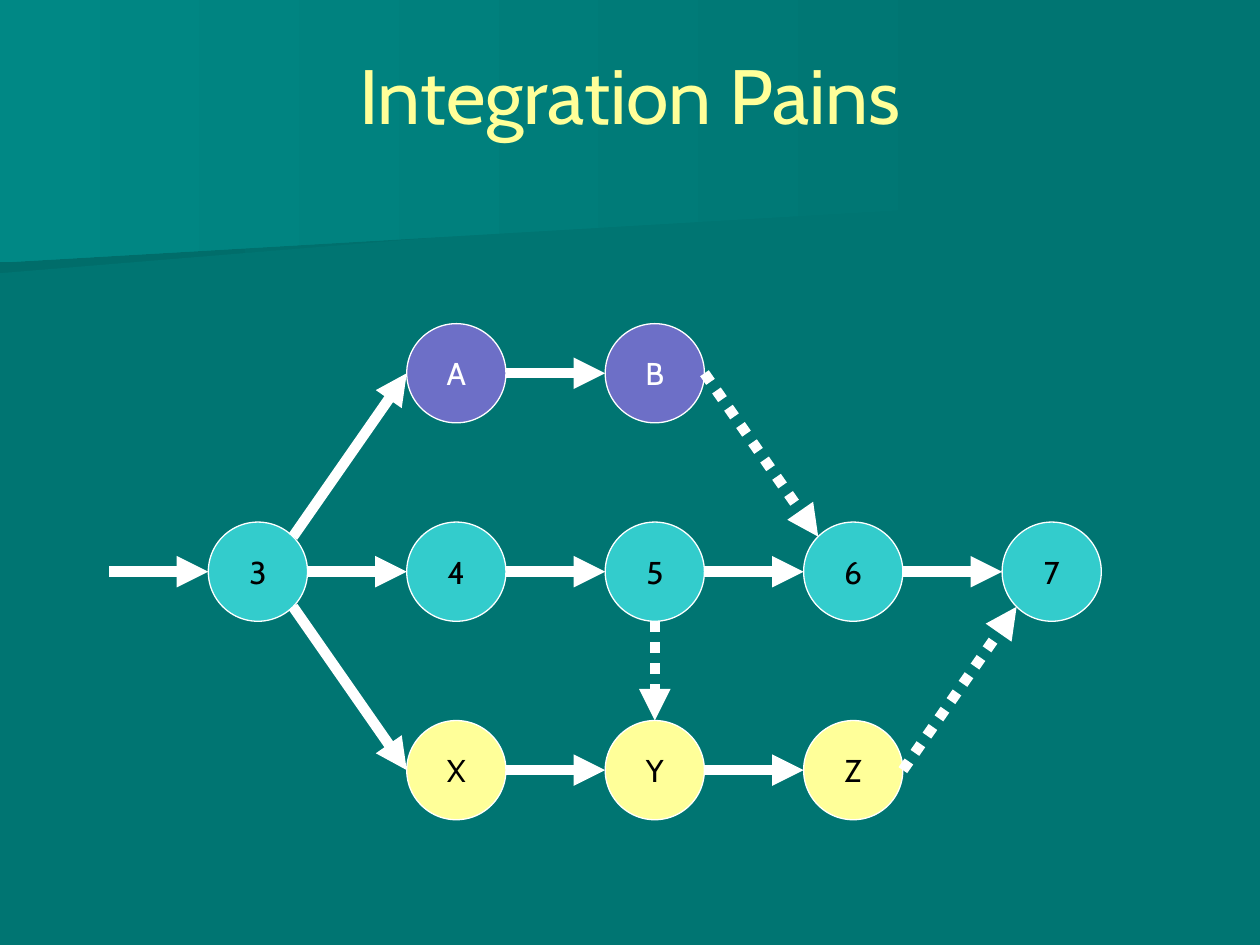
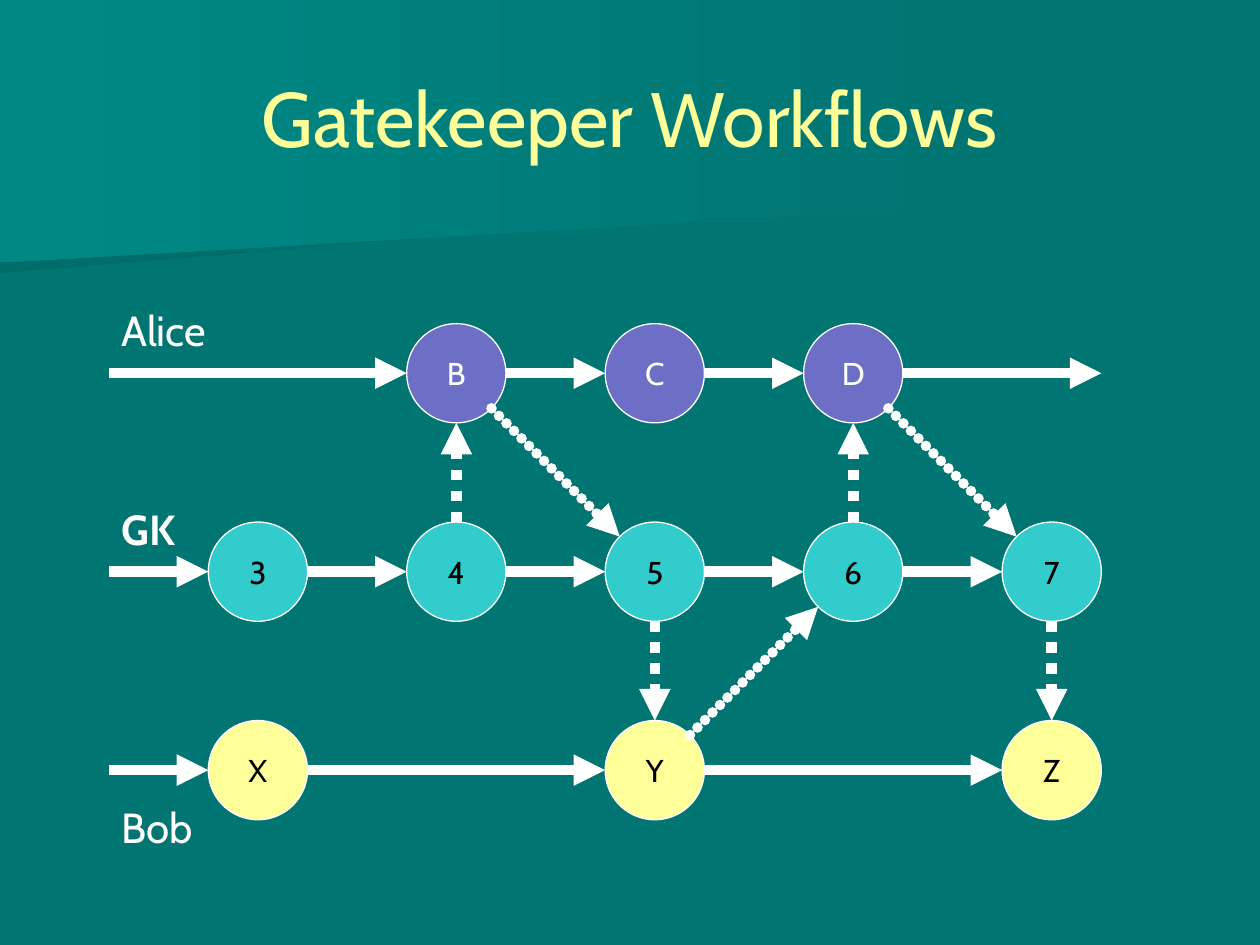
from dataclasses import dataclass
from itertools import pairwise
from math import cos, radians, sin

from lxml.etree import SubElement
from pptx import Presentation
from pptx.dml.color import RGBColor
from pptx.enum.shapes import MSO_CONNECTOR, MSO_SHAPE
from pptx.enum.text import MSO_ANCHOR, PP_ALIGN
from pptx.oxml.ns import qn
from pptx.util import Pt

# Lanes: row, {column: label}, arrow coming in, arrow going out.
# Merges: from node, side, to node, side, line style.
SLIDES = [
    {
        "title": "Integration Pains",
        "title_height": 64,
        "lanes": [
            ("top", {1: "A", 2: "B"}, False, False),
            ("middle", {0: "3", 1: "4", 2: "5", 3: "6", 4: "7"}, True, False),
            ("bottom", {1: "X", 2: "Y", 3: "Z"}, False, False),
        ],
        "merges": [
            ("3", "top right", "A", "left", "solid"),
            ("3", "bottom right", "X", "left", "solid"),
            ("B", "right", "6", "top left", "square dots"),
            ("5", "bottom", "Y", "top", "square dots"),
            ("Z", "right", "7", "bottom left", "square dots"),
        ],
        "labels": [],
    },
    {
        "title": "Gatekeeper Workflows",
        "title_height": 90,
        "lanes": [
            ("top", {1: "B", 2: "C", 3: "D"}, True, True),
            ("middle", {0: "3", 1: "4", 2: "5", 3: "6", 4: "7"}, True, False),
            ("bottom", {0: "X", 2: "Y", 4: "Z"}, True, False),
        ],
        "merges": [
            ("4", "top", "B", "bottom", "square dots"),
            ("B", "bottom right", "5", "top left", "round dots"),
            ("5", "bottom", "Y", "top", "square dots"),
            ("Y", "top right", "6", "bottom left", "round dots"),
            ("6", "top", "D", "bottom", "square dots"),
            ("D", "bottom right", "7", "top left", "round dots"),
            ("7", "bottom", "Z", "top", "square dots"),
        ],
        "labels": [("Alice", 170.6, False), ("GK", 284.4, True), ("Bob", 454.3, False)],
    },
]


@dataclass(frozen=True)
class Theme:
    font: str = "Cabin"
    title_size: int = 44
    label_size: int = 24
    node_size: int = 18
    background: str = "007572"
    band_shade: str = "006D6A"
    band_light: str = "008885"
    title: str = "FFFF99"
    white: str = "FFFFFF"
    black: str = "000000"
    arrow_width: float = 6
    node_line: float = 0.75


THEME = Theme()
WIDTH, HEIGHT = 720, 540
BANDS = [
    (THEME.band_shade, [(560.2, 110.2), (0, 156), (0, 72.7), (560.9, 72.7), (560.2, 92.2)]),
    (THEME.band_light, [(570.2, 116.6), (0, 149.8), (0, 0), (570.2, 0)]),
]
# Row: centre height, node fill, node text colour
ROWS = {
    "top": (213.3, "6D6FC7", THEME.white),
    "middle": (326.7, "33CCCC", THEME.black),
    "bottom": (440.1, "FFFF99", THEME.black),
}
FIRST_X, PITCH, RADIUS = 147.4, 113.4, 28.35
LANE_START = FIRST_X - 3 * RADIUS
LANE_END = FIRST_X + 4 * PITCH + RADIUS
# An ellipse's connection sites, numbered counter-clockwise from the top
SIDES = ["top", "top left", "left", "bottom left", "bottom", "bottom right", "right", "top right"]


def rgb(color):
    return RGBColor.from_string(color)


def write(tf, text, *, size, color, bold=False, align=PP_ALIGN.LEFT,
          anchor=MSO_ANCHOR.TOP, wrap=True):
    tf.word_wrap = wrap
    tf.vertical_anchor = anchor
    p = tf.paragraphs[0]
    p.alignment = align
    r = p.add_run()
    r.text = text
    r.font.name, r.font.size, r.font.bold = THEME.font, Pt(size), bold
    r.font.color.rgb = rgb(color)


def add_text(s, text, left, top, width, height, **fmt):
    box = s.shapes.add_textbox(Pt(left), Pt(top), Pt(width), Pt(height))
    write(box.text_frame, text, **fmt)


def add_bands(s):
    for color, points in BANDS:
        builder = s.shapes.build_freeform(*points[0], scale=Pt(1))
        builder.add_line_segments(points[1:], close=True)
        band = builder.convert_to_shape()
        band.shadow.inherit = False
        band.line.fill.background()
        band.fill.gradient()
        band.fill.gradient_angle = 180
        for stop, stop_color in zip(band.fill.gradient_stops, (THEME.background, color)):
            stop.color.rgb = rgb(stop_color)


def add_node(s, label, x, y, fill, color):
    sp = s.shapes.add_shape(MSO_SHAPE.OVAL, Pt(x - RADIUS), Pt(y - RADIUS),
                            Pt(2 * RADIUS), Pt(2 * RADIUS))
    sp.shadow.inherit = False
    sp.fill.solid()
    sp.fill.fore_color.rgb = rgb(fill)
    sp.line.color.rgb = rgb(THEME.white)
    sp.line.width = Pt(THEME.node_line)
    write(sp.text_frame, label, size=THEME.node_size, color=color,
          align=PP_ALIGN.CENTER, anchor=MSO_ANCHOR.MIDDLE, wrap=False)
    return sp, x, y


def end_point(end):
    """Return the place of an end: a plain (x, y), or a (node, side) pair."""
    node, side = end
    if side not in SIDES:
        return end
    _, x, y = node
    angle = radians(90 + 45 * SIDES.index(side))
    return x + RADIUS * cos(angle), y - RADIUS * sin(angle)


def add_arrow(s, start, end, style="solid"):
    points = [Pt(v) for v in (*end_point(start), *end_point(end))]
    arrow = s.shapes.add_connector(MSO_CONNECTOR.STRAIGHT, *points)
    arrow.line.color.rgb = rgb(THEME.white)
    arrow.line.width = Pt(THEME.arrow_width)
    ln = arrow.line._get_or_add_ln()
    if style == "square dots":
        SubElement(ln, qn("a:prstDash"), val="sysDot")
    elif style == "round dots":
        ln.set("cap", "rnd")
        dash = SubElement(ln, qn("a:custDash"))
        SubElement(dash, qn("a:ds"), d="1000", sp="100000")
    SubElement(ln, qn("a:tailEnd"), type="triangle")
    SubElement(arrow._element.spPr, qn("a:effectLst"))
    joints = arrow._element.find(".//" + qn("p:cNvCxnSpPr"))
    for tag, (node, side) in (("a:stCxn", start), ("a:endCxn", end)):
        if side in SIDES:
            SubElement(joints, qn(tag), id=str(node[0].shape_id), idx=str(SIDES.index(side)))


def add_lane(s, row, labels, enters, leaves):
    """Draw one row of nodes with its arrows; return the nodes by label."""
    y, fill, color = ROWS[row]
    nodes = {label: add_node(s, label, FIRST_X + col * PITCH, y, fill, color)
             for col, label in labels.items()}
    chain = list(nodes.values())
    for a, b in pairwise(chain):
        add_arrow(s, (a, "right"), (b, "left"))
    if enters:
        add_arrow(s, (LANE_START, y), (chain[0], "left"))
    if leaves:
        add_arrow(s, (chain[-1], "right"), (LANE_END, y))
    return nodes


def add_workflow(prs, content):
    s = prs.slides.add_slide(prs.slide_layouts[6])
    s.background.fill.solid()
    s.background.fill.fore_color.rgb = rgb(THEME.background)
    add_bands(s)
    add_text(s, content["title"], 36, 21.6, WIDTH - 72, content["title_height"],
             size=THEME.title_size, color=THEME.title,
             align=PP_ALIGN.CENTER, anchor=MSO_ANCHOR.MIDDLE)
    nodes = {}
    for lane in content["lanes"]:
        nodes.update(add_lane(s, *lane))
    for source, side, target, target_side, style in content["merges"]:
        add_arrow(s, (nodes[source], side), (nodes[target], target_side), style)
    for name, top, bold in content["labels"]:
        add_text(s, name, LANE_START, top, 70.6, 36,
                 size=THEME.label_size, color=THEME.white, bold=bold)


def main():
    prs = Presentation()
    prs.slide_width, prs.slide_height = Pt(WIDTH), Pt(HEIGHT)
    for content in SLIDES:
        add_workflow(prs, content)
    prs.save("out.pptx")


if __name__ == "__main__":
    main()
